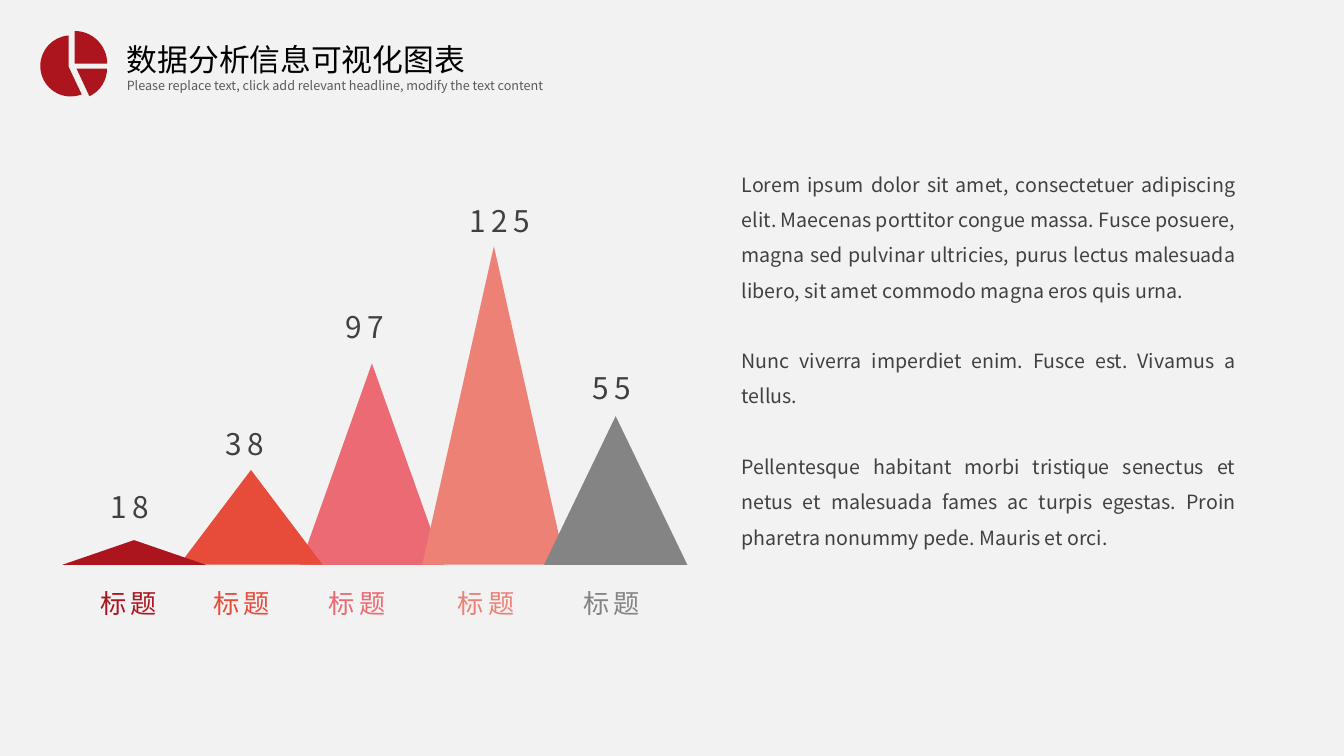
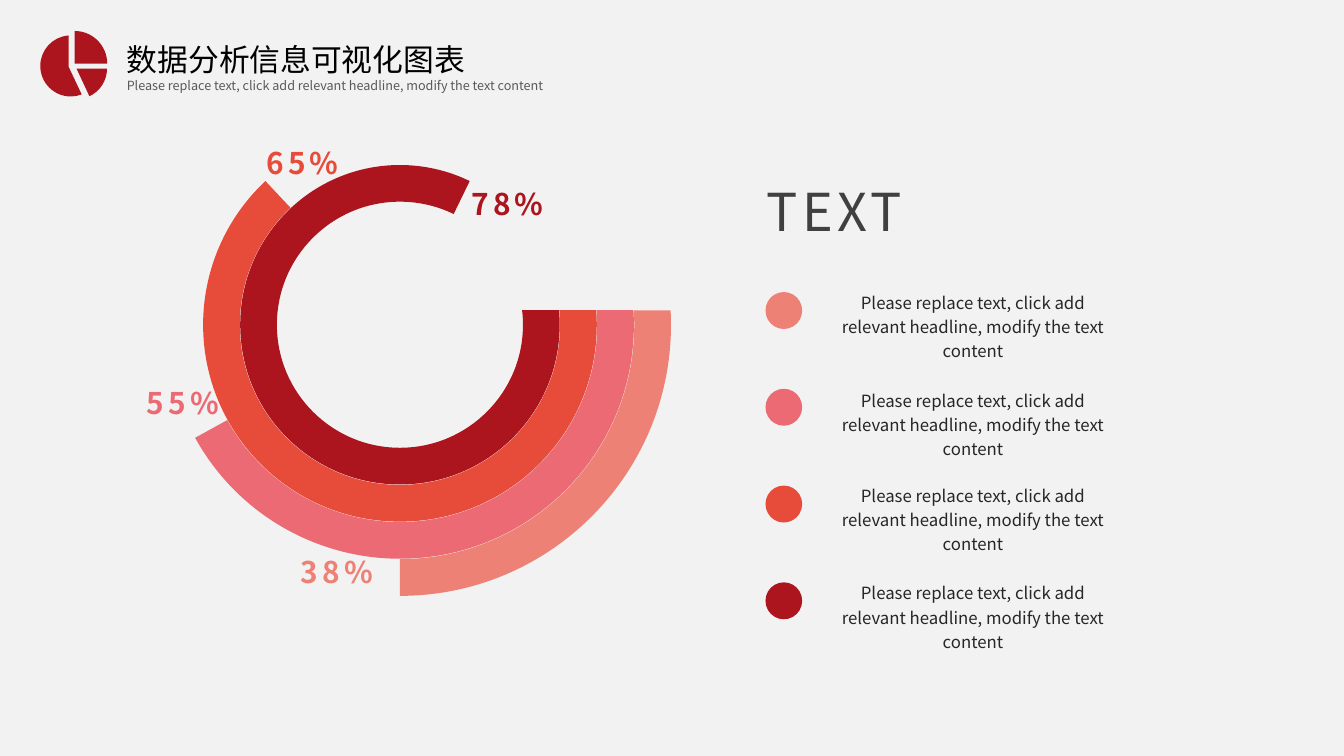
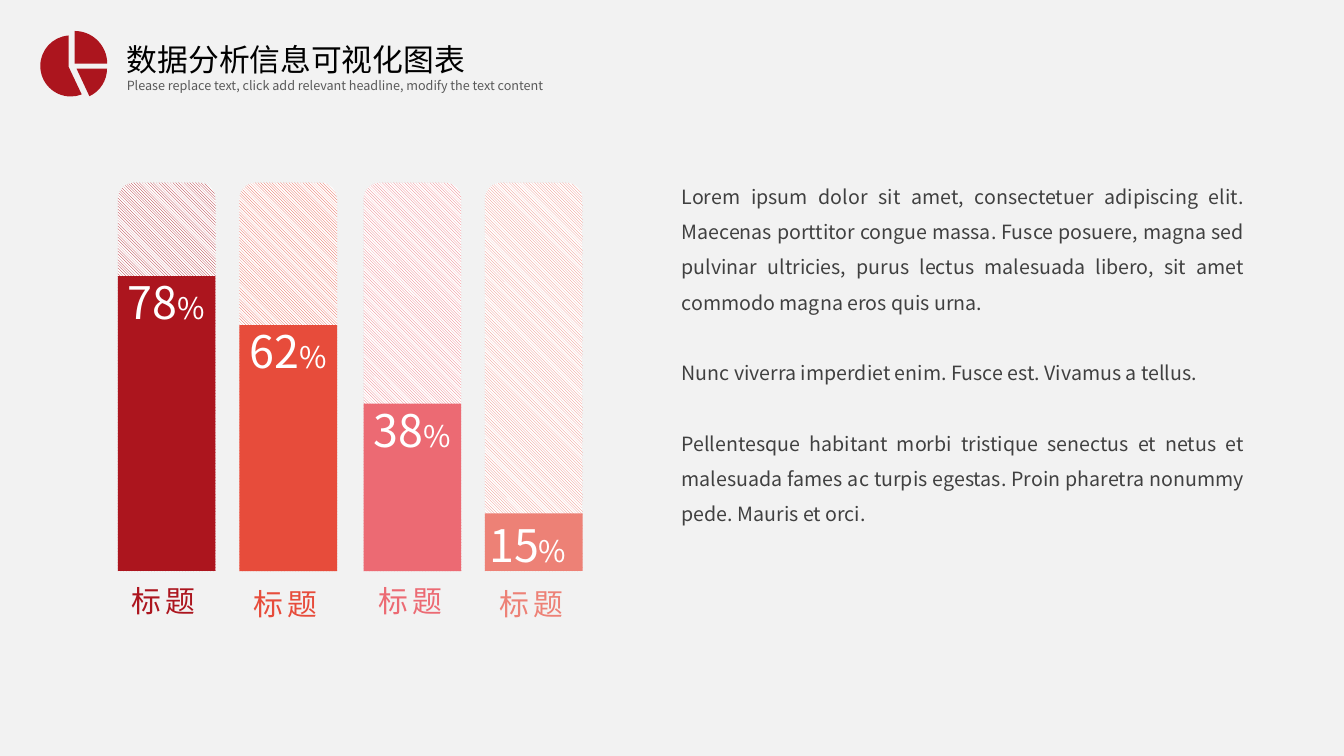
import math
from dataclasses import dataclass

import pptx
import pptx.dml.color
import pptx.enum.dml
import pptx.enum.shapes
import pptx.enum.text
import pptx.oxml.ns
import pptx.util
from lxml import etree

Pt = pptx.util.Pt
qn = pptx.oxml.ns.qn
SHAPE = pptx.enum.shapes.MSO_SHAPE
ALIGN = pptx.enum.text.PP_ALIGN


@dataclass(frozen=True)
class Theme:
    font: str = "Noto Sans CJK SC"
    background: str = "F2F2F2"
    white: str = "FFFFFF"
    black: str = "000000"
    ink: str = "262626"
    body: str = "404040"
    muted: str = "595959"
    crimson: str = "AC151E"
    red: str = "E74C3B"
    pink: str = "EC6A73"
    salmon: str = "ED8176"
    gray: str = "848484"
    title_size: float = 22
    subtitle_size: float = 9
    body_size: float = 14
    legend_size: float = 12
    label_size: float = 18.7
    value_size: float = 21.3
    percent_size: float = 32
    heading_size: float = 37.3


T = Theme()
TITLE = "数据分析信息可视化图表"
PROMPT = "Please replace text, click add relevant headline, modify the text content"
LABEL = "标题"
PARAGRAPHS = [
    "Lorem ipsum dolor sit amet, consectetuer adipiscing elit. Maecenas porttitor "
    "congue massa. Fusce posuere, magna sed pulvinar ultricies, purus lectus "
    "malesuada libero, sit amet commodo magna eros quis urna.",
    "Nunc viverra imperdiet enim. Fusce est. Vivamus a tellus.",
    "Pellentesque habitant morbi tristique senectus et netus et malesuada fames ac "
    "turpis egestas. Proin pharetra nonummy pede. Mauris et orci.",
]


# Basic parts
def rgb(color):
    return pptx.dml.color.RGBColor.from_string(color)


def paint(sp, color, hatched=False):
    sp.shadow.inherit = False
    sp.line.fill.background()
    if hatched:
        sp.fill.patterned()
        sp.fill.pattern = pptx.enum.dml.MSO_PATTERN.LIGHT_DOWNWARD_DIAGONAL
        sp.fill.fore_color.rgb = rgb(color)
        sp.fill.back_color.rgb = rgb(T.white)
    else:
        sp.fill.solid()
        sp.fill.fore_color.rgb = rgb(color)


def shape(s, kind, box, color, hatched=False):
    paint(s.shapes.add_shape(kind, *map(Pt, box)), color, hatched)


def outline(s, contours, color):
    """Draw closed contours as one shape.

    A contour is a list of segments: first the starting point alone, then
    one point for a line or three for a curve.
    """
    builder = None
    for contour in contours:
        start, *points = [(Pt(x), Pt(y)) for segment in contour for x, y in segment]
        if builder is None:
            builder = s.shapes.build_freeform(*start, scale=1.0)
        else:
            builder.move_to(*start)
        builder.add_line_segments(points, close=True)
    sp = builder.convert_to_shape()
    paint(sp, color)
    # Join each three lines of a curved segment into one curve
    lines = iter(list(sp._element.iter(qn("a:lnTo"))))
    for contour in contours:
        for segment in contour[1:]:
            group = [next(lines) for _ in segment]
            if len(group) == 3:
                curve = etree.Element(qn("a:cubicBezTo"))
                group[0].addprevious(curve)
                for line in group:
                    curve.append(line[0])
                    line.getparent().remove(line)


def arc(cx, cy, radius, start, end):
    """Segments of an arc, split at the quadrants; degrees run clockwise."""
    low, high = sorted((start, end))
    stops = [low] + [a for a in range(-360, 361, 90) if low < a < high] + [high]
    if start > end:
        stops.reverse()
    stops = [math.radians(a) for a in stops]

    def point(angle, pull=0):
        return (cx + radius * (math.cos(angle) - pull * math.sin(angle)),
                cy + radius * (math.sin(angle) + pull * math.cos(angle)))

    segments = [[point(stops[0])]]
    for a, b in zip(stops, stops[1:]):
        pull = 4 / 3 * math.tan((b - a) / 4)
        segments.append([point(a, pull), point(b, -pull), point(b)])
    return segments


def add_run(p, words, size, color, spacing=0, bold=False):
    r = p.add_run()
    r.text = words
    r.font.name = T.font
    r.font.size = Pt(size)
    r.font.bold = bold
    r.font.color.rgb = rgb(color)
    props = r.font._element
    if spacing:
        props.set("spc", str(spacing * 100))
    etree.SubElement(props, qn("a:ea")).set("typeface", T.font)


def text(s, box, paragraphs, align=ALIGN.LEFT, wrap=False, line=None, gap=0):
    """Each paragraph is a list of run tuples, as add_run takes them."""
    tf = s.shapes.add_textbox(*map(Pt, box)).text_frame
    tf.word_wrap = wrap
    tf.auto_size = pptx.enum.text.MSO_AUTO_SIZE.SHAPE_TO_FIT_TEXT
    for i, runs in enumerate(paragraphs):
        p = tf.add_paragraph() if i else tf.paragraphs[0]
        p.alignment = align
        if line:
            p.line_spacing = line
        if i and gap:
            p.space_before = Pt(gap)
        for item in runs:
            add_run(p, *item)


# Regions
def header(s, box):
    x, y = box
    pie = [
        [[(x + 24.9, y + 23.7)]] + arc(x + 24.9, y + 23.7, 23.3, -90, 0),
        [[(x + 26.3, y + 27.3)]] + arc(x + 26.3, y + 27.3, 21.8, 0, 65),
        [[(x + 20.6, y + 25.9)]] + arc(x + 22.2, y + 25.4, 21.8, 69, 266),
    ]
    outline(s, pie, T.crimson)
    text(s, (x + 55.1, y + 4, 306.7, 33.8), [[(TITLE, T.title_size, T.black)]], wrap=True)
    text(s, (x + 55.1, y + 30.4, 362.9, 18), [[(PROMPT, T.subtitle_size, T.muted)]], wrap=True)


def body_text(s, box):
    text(s, box, [[(words, T.body_size, T.body)] for words in PARAGRAPHS],
         align=ALIGN.JUSTIFY, wrap=True, line=1.5, gap=25.2)


def peaks(s, box):
    x, y = box
    base, width = 261.6, 102.4
    # value, colour, peak left, peak height, value left, value top, label left
    columns = [
        ("97", T.pink, 169.9, 143.8, 195.1, 75.2, 181.2),
        ("38", T.red, 83.5, 67.7, 109.4, 158.6, 98.7),
        ("18", T.crimson, 0, 17.6, 27.4, 203.8, 18),
        ("125", T.salmon, 257, 227.5, 283.7, -0.5, 273.4),
        ("55", T.gray, 344, 106.2, 371.5, 118.8, 363.3),
    ]
    for _, color, left, height, *_ in columns:
        shape(s, SHAPE.ISOSCELES_TRIANGLE, (x + left, y + base - height, width, height), color)
    for value, color, _, _, value_left, value_top, label_left in columns:
        text(s, (x + value_left, y + value_top, 15 + 15.6 * len(value), 33),
             [[(value, T.value_size, T.body, 4)]])
        text(s, (x + label_left, y + 274.3, 58.3, 30.2),
             [[(LABEL, T.label_size, color, 3)]], align=ALIGN.CENTER)


def rings(s, center):
    cx, cy = center
    inner, pitch, thickness, cut = 87.9, 26.5, 26.2, 10.4
    # value, colour, end angle, label offset from the centre
    bands = [
        ("78%", T.crimson, 295.9, 42.6, -103),
        ("65%", T.red, 226.9, -103.9, -132.5),
        ("55%", T.pink, 151.1, -189.3, 39.1),
        ("38%", T.salmon, 90, -79.4, 160.1),
    ]
    for i, (value, color, end, dx, dy) in enumerate(bands):
        near = inner + i * pitch
        far = near + thickness
        # Every band starts on the same level line above the centre
        starts = [-math.degrees(math.asin(cut / radius)) for radius in (near, far)]
        outline(s, [arc(cx, cy, near, starts[0], end) + arc(cx, cy, far, end, starts[1])], color)
        text(s, (cx + dx, cy + dy, 68.4, 33),
             [[(value, T.value_size, color, 3, True)]], align=ALIGN.CENTER)


def legend(s, box):
    x, y = box
    text(s, (x, y, 113.8, 52.6), [[("TEXT", T.heading_size, T.body, 3)]])
    entries = [(T.salmon, 78), (T.pink, 148.1), (T.red, 215.8), (T.crimson, 285.5)]
    for i, (color, text_top) in enumerate(entries):
        shape(s, SHAPE.OVAL, (x + 6.1, y + 84 + i * 69.12, 26.2, 26.4), color)
        text(s, (x + 48.1, y + text_top, 212.4, 58.3), [[(PROMPT, T.legend_size, T.ink)]],
             align=ALIGN.CENTER, wrap=True, line=1.2)


def bars(s, box):
    x, y, _, height = box
    width = 69.8
    # value, colour, bar left, filled height, value offset, label offset, label top
    columns = [
        ("78", T.crimson, 0, 210.6, -0.5, -4.3, 0.8, 282),
        ("62", T.red, 86.8, 175.6, -0.3, -4.7, 1, 284.2),
        ("38", T.pink, 175.5, 119.6, -0.4, -4.3, 1.4, 282),
        ("15", T.salmon, 262.2, 41.2, -4.3, -0.7, 1.4, 284.2),
    ]
    for value, color, left, filled, dx, dy, label_dx, label_top in columns:
        bar_left, top = x + left, y + height - filled
        shape(s, SHAPE.ROUND_2_SAME_RECTANGLE, (bar_left, y, width, height), color, hatched=True)
        shape(s, SHAPE.RECTANGLE, (bar_left, top, width, filled), color)
        text(s, (bar_left + dx, top + dy, width, 46),
             [[(value, T.percent_size, T.white), ("%", T.value_size, T.white)]],
             align=ALIGN.CENTER)
        text(s, (bar_left + label_dx, y + label_top, 64, 33),
             [[(LABEL, T.value_size, color, 3)]], align=ALIGN.CENTER)


# Slides
def new_slide(prs):
    return prs.slides.add_slide(prs.slide_layouts[6])


def share_header(prs, s):
    """Draw the header and move it to the layout that all slides use."""
    header(s, (28.4, 21.7))
    for sp in list(s.shapes):
        s.slide_layout.shapes._spTree.append(sp._element)


def peaks_slide(prs):
    s = new_slide(prs)
    share_header(prs, s)
    body_text(s, (522.7, 111.4, 367.2, 309.6))
    peaks(s, (44.6, 141.8))


def rings_slide(prs):
    s = new_slide(prs)
    rings(s, (285.7, 232))
    legend(s, (540.7, 124.6))


def bars_slide(prs):
    s = new_slide(prs)
    bars(s, (84.2, 130.5, 331.9, 277.4))
    body_text(s, (479.8, 120, 416.2, 284.4))


def main():
    prs = pptx.Presentation()
    prs.slide_width, prs.slide_height = Pt(960), Pt(540)
    fill = prs.slide_master.background.fill
    fill.solid()
    fill.fore_color.rgb = rgb(T.background)
    peaks_slide(prs)
    rings_slide(prs)
    bars_slide(prs)
    prs.save("out.pptx")


if __name__ == "__main__":
    main()
